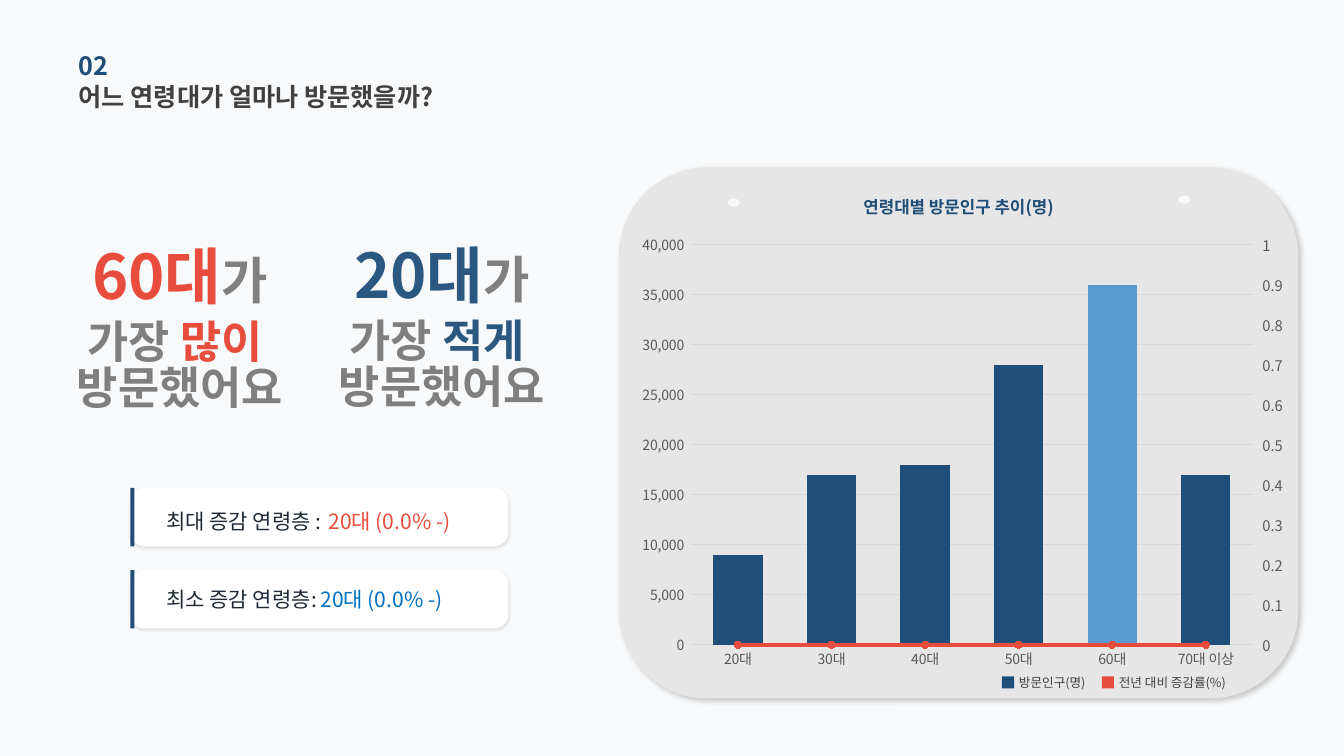
import copy
from typing import NamedTuple
import pptx
import pptx.chart.axis, pptx.chart.data, pptx.dml.color, pptx.util
import pptx.enum.chart, pptx.enum.shapes, pptx.enum.text
import pptx.oxml, pptx.oxml.ns

Pt = pptx.util.Pt
qn = pptx.oxml.ns.qn
SHAPE = pptx.enum.shapes.MSO_SHAPE
ALIGN = pptx.enum.text.PP_ALIGN
TICK = pptx.enum.chart.XL_TICK_MARK

class Theme:
    font, base = "Noto Sans CJK KR", "Calibri"
    back, panel, white, black = "F8F9FA", "E7E6E6", "FFFFFF", "000000"
    navy, steel, sky, blue, red = "1F4E79", "2B5880", "5B9BD5", "0070C0", "E74C3C"
    dark, ink, grey, pale = "404040", "1F2937", "7F7F7F", "808080"
    axis, grid = "595959", "D9D9D9"
    huge, large, big, head, body = 44, 36, 32, 18, 15
    title, right, tick, key = 12, 10.5, 10, 9

class Box(NamedTuple):
    """Left, top, width and height in percent of the slide's size."""
    x: float
    y: float
    w: float
    h: float

class Run(NamedTuple):
    text: str
    size: float
    color: str
    bold: bool = False

class Shade(NamedTuple):
    alpha: int
    blur: float
    dist: float
    angle: int

class Claim(NamedTuple):
    x: float
    y: float
    age: str
    word: str
    color: str

class Card(NamedTuple):
    y: float
    label: str
    label_y: float
    value_x: float
    color: str

class Key(NamedTuple):
    x: float
    w: float
    text: str
    color: str

T = Theme()
CLAIMS = [Claim(-2.7, 33.2, "60대", "많이", T.red), Claim(16.8, 33.0, "20대", "적게", T.steel)]
CARDS = [Card(64.53, "최대 증감 연령층 :", 67.47, 24.45, T.red),
         Card(75.4, "최소 증감 연령층:", 77.87, 23.85, T.blue)]
KEYS = [Key(74.55, 5.8, "방문인구(명)", T.navy), Key(81.98, 8.85, "전년 대비 증감률(%)", T.red)]
AGES = ["20대", "30대", "40대", "50대", "60대", "70대 이상"]
VISITS = [9000, 17000, 18000, 28000, 36000, 17000]
PEAK = 4

deck = pptx.Presentation()
deck.slide_width, deck.slide_height = pptx.util.Inches(13.333), pptx.util.Inches(7.5)
slide = deck.slides.add_slide(deck.slide_layouts[6])

def rgb(color: str) -> pptx.dml.color.RGBColor:
    return pptx.dml.color.RGBColor.from_string(color)

def paint(item, color: str) -> None:
    item.fill.solid()
    item.fill.fore_color.rgb = rgb(color)

def place(box: Box) -> list[int]:
    sides = (deck.slide_width, deck.slide_height) * 2
    return [round(part * side / 100) for part, side in zip(box, sides)]

def write(box: Box, *lines: list[Run], align=ALIGN.LEFT, pad: bool = False,
          space: float | None = None) -> None:
    frame = slide.shapes.add_textbox(*place(box)).text_frame
    frame.word_wrap = True
    if not pad:
        frame.vertical_anchor = pptx.enum.text.MSO_ANCHOR.MIDDLE
        frame.margin_left = frame.margin_right = frame.margin_top = frame.margin_bottom = 0
    for i, line in enumerate(lines):
        para = frame.add_paragraph() if i else frame.paragraphs[0]
        para.alignment, para.line_spacing = align, space
        for item in line:
            run = para.add_run()
            run.text = item.text
            font = run.font
            font.name, font.size, font.bold = T.font, Pt(item.size), item.bold
            font.color.rgb = rgb(item.color)
            latin = run._r.get_or_add_rPr().find(qn("a:latin"))
            latin.addnext(latin.makeelement(qn("a:ea"), {"typeface": T.font}))

def draw(kind, box: Box, color: str, shade: Shade | None = None,
         curve: float | None = None) -> None:
    shape = slide.shapes.add_shape(kind, *place(box))
    shape.shadow.inherit = False
    paint(shape, color)
    shape.line.fill.background()
    if curve is not None:
        shape.adjustments[0] = curve
    if shade:
        shape._element.spPr.find(qn("a:effectLst")).append(pptx.oxml.parse_xml(
            f'<a:outerShdw {pptx.oxml.ns.nsdecls("a")} blurRad="{Pt(shade.blur)}" '
            f'dist="{Pt(shade.dist)}" dir="{shade.angle * 60000}" algn="ctr" rotWithShape="0">'
            f'<a:srgbClr val="{T.black}"><a:alpha val="{shade.alpha * 1000}"/></a:srgbClr>'
            '</a:outerShdw>'))

def style(axis, size: float, mark) -> None:
    axis.major_tick_mark, axis.minor_tick_mark = mark, TICK.NONE
    font = axis.tick_labels.font
    font.name, font.size, font.color.rgb = T.font, Pt(size), rgb(T.axis)

def split(chart) -> None:
    """Turn the second series into a line on a right-hand axis."""
    area = chart._chartSpace.chart.plotArea
    ns = pptx.oxml.ns.nsdecls("c")
    line = pptx.oxml.parse_xml(
        f'<c:lineChart {ns}><c:grouping val="standard"/><c:varyColors val="0"/>'
        '<c:marker val="1"/><c:axId val="10"/><c:axId val="20"/></c:lineChart>')
    rate = area.findall(".//" + qn("c:ser"))[1]
    for old in rate.findall(qn("c:invertIfNegative")):
        rate.remove(old)
    line.insert(2, rate)
    area.find(qn("c:barChart")).addnext(line)
    base, side = [copy.deepcopy(area.find(qn(tag))) for tag in ("c:catAx", "c:valAx")]
    area.find(qn("c:valAx")).addnext(side)
    side.addnext(base)
    for axis, own, other in ((base, "10", "20"), (side, "20", "10")):
        axis.find(qn("c:axId")).set("val", own)
        axis.find(qn("c:crossAx")).set("val", other)
    side.find(qn("c:axPos")).set("val", "r")
    side.find(qn("c:crosses")).set("val", "max")
    pptx.chart.axis.CategoryAxis(base).visible = False
    right = pptx.chart.axis.ValueAxis(side)
    right.has_major_gridlines = False
    right.maximum_scale, right.major_unit = 1, 0.1
    right.tick_labels.number_format = "General"
    style(right, T.right, TICK.OUTSIDE)
    for old in area.findall(qn("c:layout")):
        area.remove(old)
    area.insert(0, pptx.oxml.parse_xml(
        f'<c:layout {ns}><c:manualLayout><c:layoutTarget val="inner"/>'
        '<c:xMode val="edge"/><c:yMode val="edge"/><c:x val="0.09"/><c:y val="0.04"/>'
        '<c:w val="0.84"/><c:h val="0.89"/></c:manualLayout></c:layout>'))

def plot(box: Box) -> None:
    data = pptx.chart.data.CategoryChartData()
    data.categories = AGES
    data.add_series("Series 1", VISITS)
    data.add_series("Series 2", [0] * len(AGES))
    kind = pptx.enum.chart.XL_CHART_TYPE.COLUMN_CLUSTERED
    chart = slide.shapes.add_chart(kind, *place(box), data).chart
    chart.has_title = chart.has_legend = False
    chart.font.name, chart.font.size, chart.font.color.rgb = T.base, Pt(T.tick), rgb(T.black)
    base, left = chart.category_axis, chart.value_axis
    for axis in (base, left):
        style(axis, T.tick, TICK.NONE)
    left.minimum_scale, left.maximum_scale, left.major_unit = 0, 40000, 5000
    left.tick_labels.number_format = "#,##0_ "
    left.tick_labels.number_format_is_linked = False
    left.format.line.fill.background()
    for rule in (base.format.line, left.major_gridlines.format.line):
        rule.width, rule.color.rgb = Pt(0.75), rgb(T.grid)
    split(chart)
    bars, line = chart.plots
    bars.gap_width, bars.overlap, bars.vary_by_categories = 90, -27, False
    visits, rate = bars.series[0], line.series[0]
    for part, color in ((visits, T.navy), (visits.points[PEAK], T.sky), (rate.marker, T.red)):
        paint(part.format, color)
    rate.smooth = False
    rate.format.line.width, rate.format.line.color.rgb = Pt(3), rgb(T.red)
    rate.marker.style, rate.marker.size = pptx.enum.chart.XL_MARKER_STYLE.CIRCLE, 5
    rate.marker.format.line.color.rgb = rgb(T.red)

def main() -> None:
    paint(slide.background, T.back)
    write(Box(5.85, 10, 33.9, 5.47), [Run("어느 연령대가 얼마나 방문했을까?", T.head, T.dark, True)])
    write(Box(5.85, 5.87, 33.9, 5.47), [Run("02", T.head, T.navy, True)])
    draw(SHAPE.ROUNDED_RECTANGLE, Box(46.05, 22.13, 50.55, 70.27), T.panel, Shade(20, 4, 3, 45))
    for key in KEYS:
        draw(SHAPE.RECTANGLE, Box(key.x, 89.47, 0.9, 1.6), key.color)
        write(Box(key.x + 1.27, 89.07, key.w, 2.4), [Run(key.text, T.key, T.dark)])
    for x, y in ((54.15, 26.27), (87.68, 25.87)):
        draw(SHAPE.OVAL, Box(x, y, 0.9, 1.07), T.back)
    for card in CARDS:
        draw(SHAPE.ROUNDED_RECTANGLE, Box(9.68, card.y, 28.15, 7.73), T.white,
             Shade(10, 2, 1, 90), 0.245)
        draw(SHAPE.RECTANGLE, Box(9.7, card.y, 0.3, 7.73), T.navy)
        write(Box(12.38, card.label_y, 14.48, 2.8), [Run(card.label, T.body, T.ink)])
        write(Box(card.value_x, card.label_y - 0.2, 14, 3.2),
              [Run("20대 (0.0% -)", T.body, card.color)])
    for claim in CLAIMS:
        write(Box(claim.x, claim.y, 32.18, 6.4), [Run(claim.age, T.huge, claim.color, True),
              Run("가", T.large, T.pale, True)], align=ALIGN.CENTER)
        write(Box(claim.x - 4.6, claim.y + 9.9, 41.4, 11.2),
              [Run("가장 ", T.big, T.grey, True), Run(claim.word + " ", T.big, claim.color, True)],
              [Run("방문했어요", T.big, T.grey, True)], align=ALIGN.CENTER, space=0.85)
    plot(Box(46.95, 30, 49.73, 59.47))
    write(Box(60.23, 25.33, 22.2, 4), [Run("연령대별 방문인구 추이(명)", T.title, T.navy, True)],
          align=ALIGN.CENTER, pad=True)
    deck.save("out.pptx")

if __name__ == "__main__":
    main()
